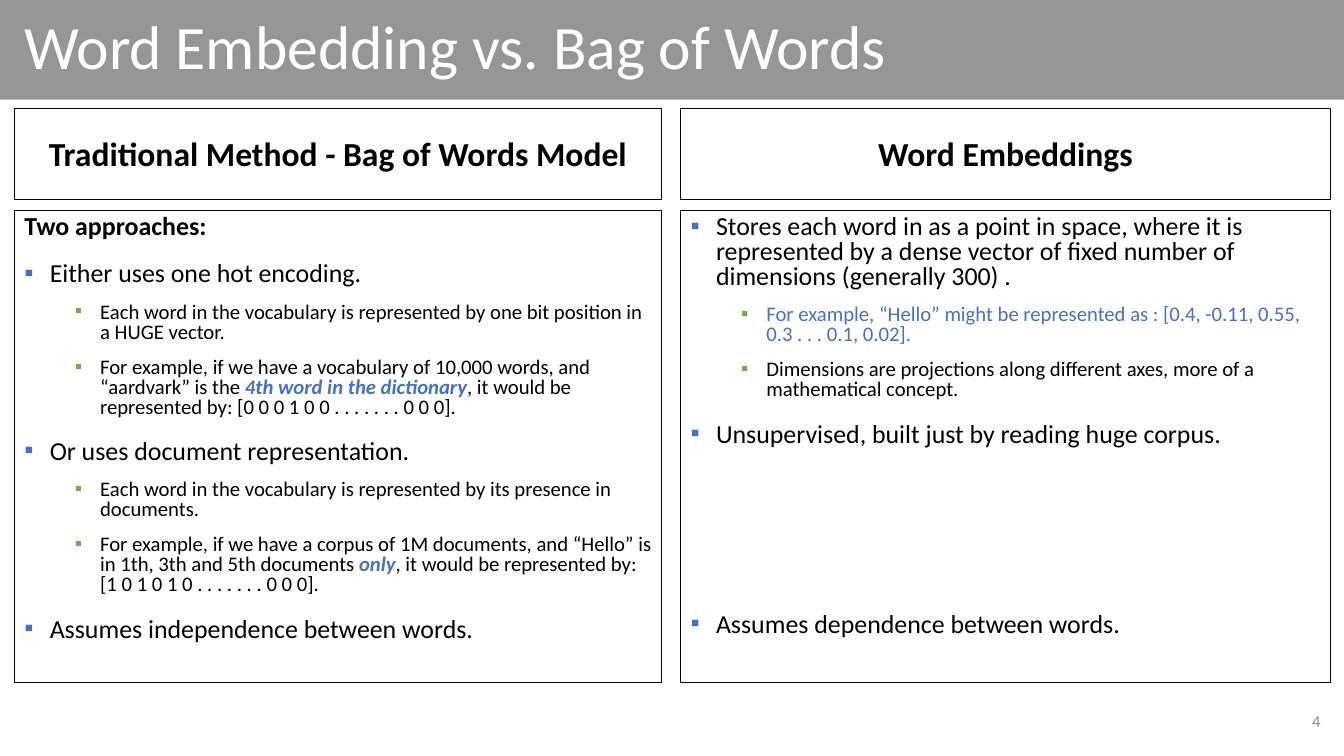
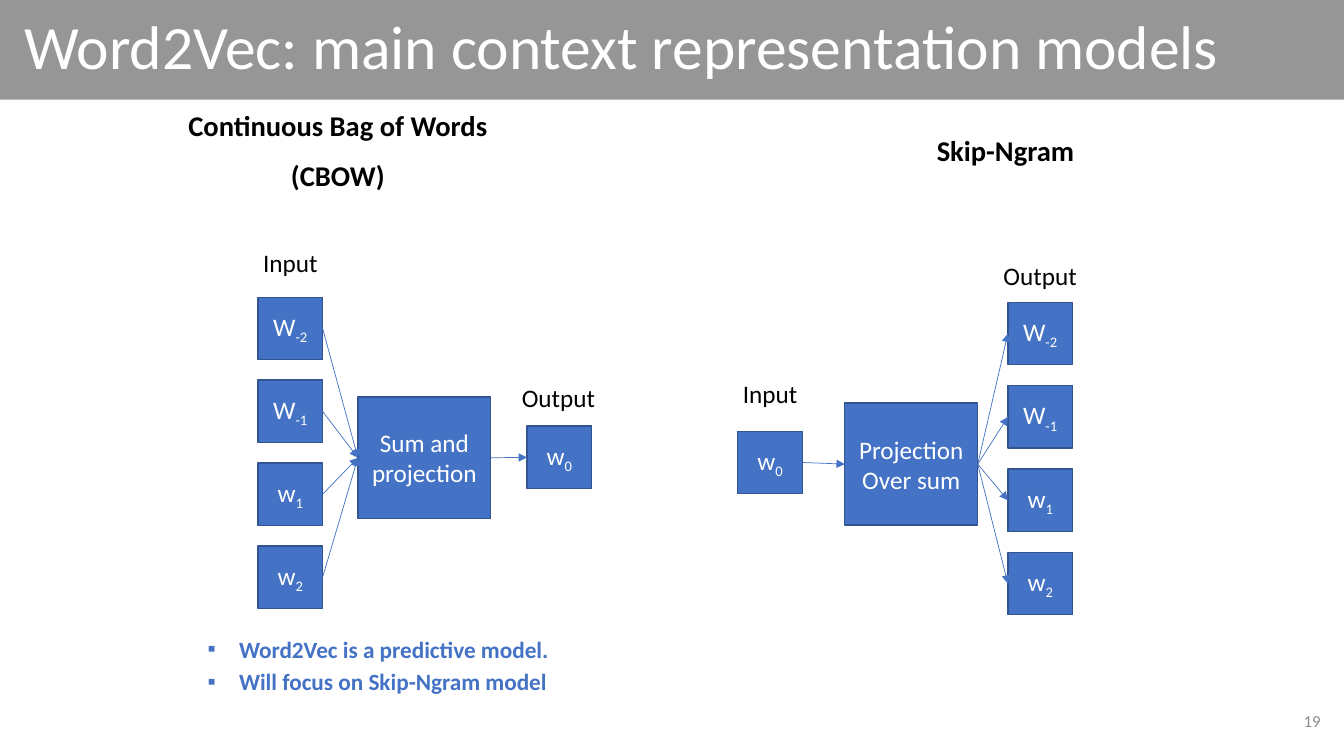
import pptx
import pptx.dml.color
import pptx.enum.shapes
import pptx.enum.text
import pptx.oxml.ns
import pptx.util
from lxml import etree

Cm, Pt = pptx.util.Cm, pptx.util.Pt
ALIGN = pptx.enum.text.PP_ALIGN
MID = pptx.enum.text.MSO_ANCHOR.MIDDLE
TOP = pptx.enum.text.MSO_ANCHOR.TOP
RECT = pptx.enum.shapes.MSO_SHAPE.RECTANGLE
LINE = pptx.enum.shapes.MSO_CONNECTOR.STRAIGHT

# Shared colours and places (cm: left, top, width, height)
BLACK, WHITE, GREY, PALE = "000000", "FFFFFF", "969696", "8C8C8C"
BLUE, EDGE, GREEN = "4472C4", "325491", "70AD47"
BAND = (0, -0.03, 33.87, 2.54)
PAGE = (25.91, 17.65, 7.62, 1.02)
SPOTS = {
    0: (0.36, 0.08, 33.17, 2.34),
    1: (0.36, 2.72, 16.31, 2.29),
    2: (0.36, 5.31, 16.31, 11.89),
    3: (17.15, 2.72, 16.38, 2.29),
    4: (17.15, 5.31, 16.38, 11.89),
}
CELL = (1.63, 1.57)
HUB = (3.35, 3.07)

# Text styles: size, colour, spacing, indent (cm), bullet colour
BASE = dict(size=18, color=BLACK, bold=False, align=ALIGN.LEFT, level=0,
            lines=1, before=0, after=0, left=0, hang=0, dot=None)
LIST = dict(BASE, size=18.5, lines=0.8, before=10, after=6)
MAIN = dict(LIST, left=0.64, hang=0.64, dot=BLUE)
SUB = dict(MAIN, size=14.8, level=1, before=5, left=1.91, dot=GREEN)
HEAD = dict(BASE, size=24, bold=True, align=ALIGN.CENTER, before=10, after=6)
STYLES = {
    "title": dict(BASE, size=44, color=WHITE, lines=0.9),
    "head": HEAD,
    "model": dict(HEAD, size=20.4, lines=0.8),
    "lead": dict(LIST, bold=True),
    "main": MAIN,
    "last": dict(MAIN, before=112),
    "sub": SUB,
    "note": dict(SUB, color=BLUE),
    "point": dict(BASE, size=16.6, color=BLUE, bold=True, lines=0.8,
                  before=7.5, left=0.79, hang=0.79, dot=BLUE),
    "node": dict(BASE, color=WHITE, align=ALIGN.CENTER),
    "label": BASE,
    "page": dict(BASE, size=12, color=PALE, align=ALIGN.RIGHT),
}

# Slide content; *stars* mark emphasis
BAGS = [
    ("lead", "Two approaches:"),
    ("main", "Either uses one hot encoding."),
    ("sub", "Each word in the vocabulary is represented by one bit position "
            "in a HUGE vector."),
    ("sub", "For example, if we have a vocabulary of 10,000 words, and "
            "“aardvark” is the *4th word in the dictionary*, it would be "
            "represented by: [0 0 0 1 0 0 . . . . . . . 0 0 0]."),
    ("main", "Or uses document representation."),
    ("sub", "Each word in the vocabulary is represented by its presence in "
            "documents."),
    ("sub", "For example, if we have a corpus of 1M documents, and “Hello” is "
            "in 1th, 3th and 5th documents *only*, it would be represented "
            "by: [1 0 1 0 1 0 . . . . . . . 0 0 0]."),
    ("main", "Assumes independence between words."),
]
DENSE = [
    ("main", "Stores each word in as a point in space, where it is "
             "represented by a dense vector of fixed number of dimensions "
             "(generally 300) ."),
    ("note", "For example, “Hello” might be represented as : "
             "[0.4, -0.11, 0.55, 0.3 . . . 0.1, 0.02]."),
    ("sub", "Dimensions are projections along different axes, more of a "
            "mathematical concept."),
    ("main", "Unsupervised, built just by reading huge corpus."),
    ("last", "Assumes dependence between words."),
]
WORDS = [("W", "-2"), ("W", "-1"), ("w", "1"), ("w", "2")]


def rgb(code):
    return pptx.dml.color.RGBColor.from_string(code)


def place(item, spot):
    for name, size in zip(("left", "top", "width", "height"), spot):
        setattr(item, name, Cm(size))


def style(obj, values):
    for name, value in values.items():
        setattr(obj, name, value)


def add_tag(parent, tag, **attrs):
    node = etree.SubElement(parent, pptx.oxml.ns.qn(tag))
    for name, value in attrs.items():
        node.set(name, value)
    return node


def add_run(para, text, look, **extra):
    run = para.add_run()
    run.text = text
    style(run.font, dict(name="Calibri", size=Pt(look["size"]),
                         bold=look["bold"]) | extra)
    run.font.color.rgb = rgb(look["color"])
    return run


def add_para(frame, kind, text, first):
    look = STYLES[kind]
    para = frame.paragraphs[0] if first else frame.add_paragraph()
    style(para, dict(alignment=look["align"], level=look["level"],
                     line_spacing=look["lines"], space_after=Pt(look["after"]),
                     space_before=Pt(0 if first else look["before"])))
    props = para._p.get_or_add_pPr()
    props.set("marL", str(Cm(look["left"])))
    props.set("indent", str(-Cm(look["hang"])))
    if look["dot"]:
        add_tag(add_tag(props, "a:buClr"), "a:srgbClr", val=look["dot"])
        add_tag(props, "a:buFont", typeface="Arial")
        add_tag(props, "a:buChar", char="▪")
    else:
        add_tag(props, "a:buNone")
    for spot, part in enumerate(text.split("*")):
        if spot % 2:
            add_run(para, part, dict(look, color=BLUE, bold=True), italic=True)
        else:
            add_run(para, part, look)
    return para


def write(shape, rows, anchor=MID, wrap=True):
    frame = shape.text_frame
    style(frame, dict(word_wrap=wrap, vertical_anchor=anchor,
                      auto_size=pptx.enum.text.MSO_AUTO_SIZE.NONE))
    for spot, (kind, text) in enumerate(rows):
        para = add_para(frame, kind, text, spot == 0)
    return para


def frame_box(shape, width):
    shape.line.color.rgb = rgb(BLACK)
    shape.line.width = Pt(width)


def add_rect(slide, spot, fill, edge=None):
    box = slide.shapes.add_shape(RECT, *map(Cm, spot))
    box.shadow.inherit = False
    box.fill.solid()
    box.fill.fore_color.rgb = rgb(fill)
    if edge:
        box.line.color.rgb = rgb(edge)
        box.line.width = Pt(1)
    else:
        box.line.fill.background()
    return box


def add_text(slide, spot, kind, text, anchor=TOP, wrap=True):
    write(slide.shapes.add_textbox(*map(Cm, spot)), [(kind, text)], anchor, wrap)


def add_slide(deck, layout, title, page):
    slide = deck.slides.add_slide(layout)
    write(slide.shapes.title, [("title", title)])
    add_text(slide, PAGE, "page", page, MID)
    return slide


# Diagram parts
def add_word(slide, left, top, word):
    box = add_rect(slide, (left, top, *CELL), BLUE, EDGE)
    name, mark = word
    para = write(box, [("node", name)])
    run = add_run(para, mark, STYLES["node"])
    run._r.get_or_add_rPr().set("baseline", "-25000")
    return box


def add_arrow(slide, start, end):
    line = slide.shapes.add_connector(LINE, 0, 0, 0, 0)
    line.begin_connect(start, 3)
    line.end_connect(end, 1)
    line.line.color.rgb = rgb(BLUE)
    line.line.width = Pt(0.5)
    add_tag(line.line._get_or_add_ln(), "a:tailEnd", type="triangle")
    add_tag(line.element.spPr, "a:effectLst")


def add_net(slide, hub, lines, stack, step, single, inward):
    core = add_rect(slide, (*hub, *HUB), BLUE, EDGE)
    write(core, [("node", text) for text in lines])
    left, top = stack
    many = [add_word(slide, left, top + step * row, word)
            for row, word in enumerate(WORDS)]
    one = [add_word(slide, *single, ("w", "0"))]
    before, after = (many, one) if inward else (one, many)
    for box in before:
        add_arrow(slide, box, core)
    for box in after:
        add_arrow(slide, core, box)


# Slides
def make_layout(deck):
    layout = deck.slide_layouts.get_by_name("Comparison")
    for idx, spot in SPOTS.items():
        place(layout.placeholders.get(idx), spot)
    return layout


def add_band(slide, layout):
    band = add_rect(slide, BAND, GREY)
    layout.shapes.element.insert(2, band.element)


def show_methods(deck, layout):
    slide = add_slide(deck, layout, "Word Embedding vs. Bag of Words", "4")
    add_band(slide, layout)
    hold = slide.placeholders
    heads = {1: "Traditional Method - Bag of Words Model", 3: "Word Embeddings"}
    for idx, text in heads.items():
        write(hold[idx], [("head", text)])
        frame_box(hold[idx], 0.25)
    for idx, rows in {2: BAGS, 4: DENSE}.items():
        write(hold[idx], rows, TOP)
        frame_box(hold[idx], 0.75)


def show_models(deck, layout):
    slide = add_slide(deck, layout,
                      "Word2Vec: main context representation models", "19")
    hold = slide.placeholders
    write(hold[1], [("model", "Continuous Bag of Words"), ("model", "(CBOW)")])
    write(hold[3], [("model", "Skip-Ngram")])
    place(hold[2], (4.98, 15.98, 23.95, 1.7))
    write(hold[2], [("point", "Word2Vec is a predictive model."),
                    ("point", "Will focus on Skip-Ngram model")])
    spare = hold[4].element
    spare.getparent().remove(spare)
    add_net(slide, (9.02, 10), ["Sum and projection"],
            (6.5, 7.49), 2.09, (13.28, 10.74), True)
    add_net(slide, (21.29, 10.16), ["Projection", "Over sum"],
            (25.4, 7.62), 2.1, (18.59, 10.87), False)
    for left, top, text in ((6.38, 6.1, "Input"), (12.9, 9.5, "Output"),
                            (18.47, 9.42, "Input"), (25.04, 6.43, "Output")):
        width = 1.9 if text == "Input" else 2.44
        add_text(slide, (left, top, width, 1.02), "label", text, wrap=False)


def main():
    deck = pptx.Presentation()
    deck.slide_width, deck.slide_height = Cm(33.87), Cm(19.05)
    layout = make_layout(deck)
    show_methods(deck, layout)
    show_models(deck, layout)
    deck.save("out.pptx")


if __name__ == "__main__":
    main()
